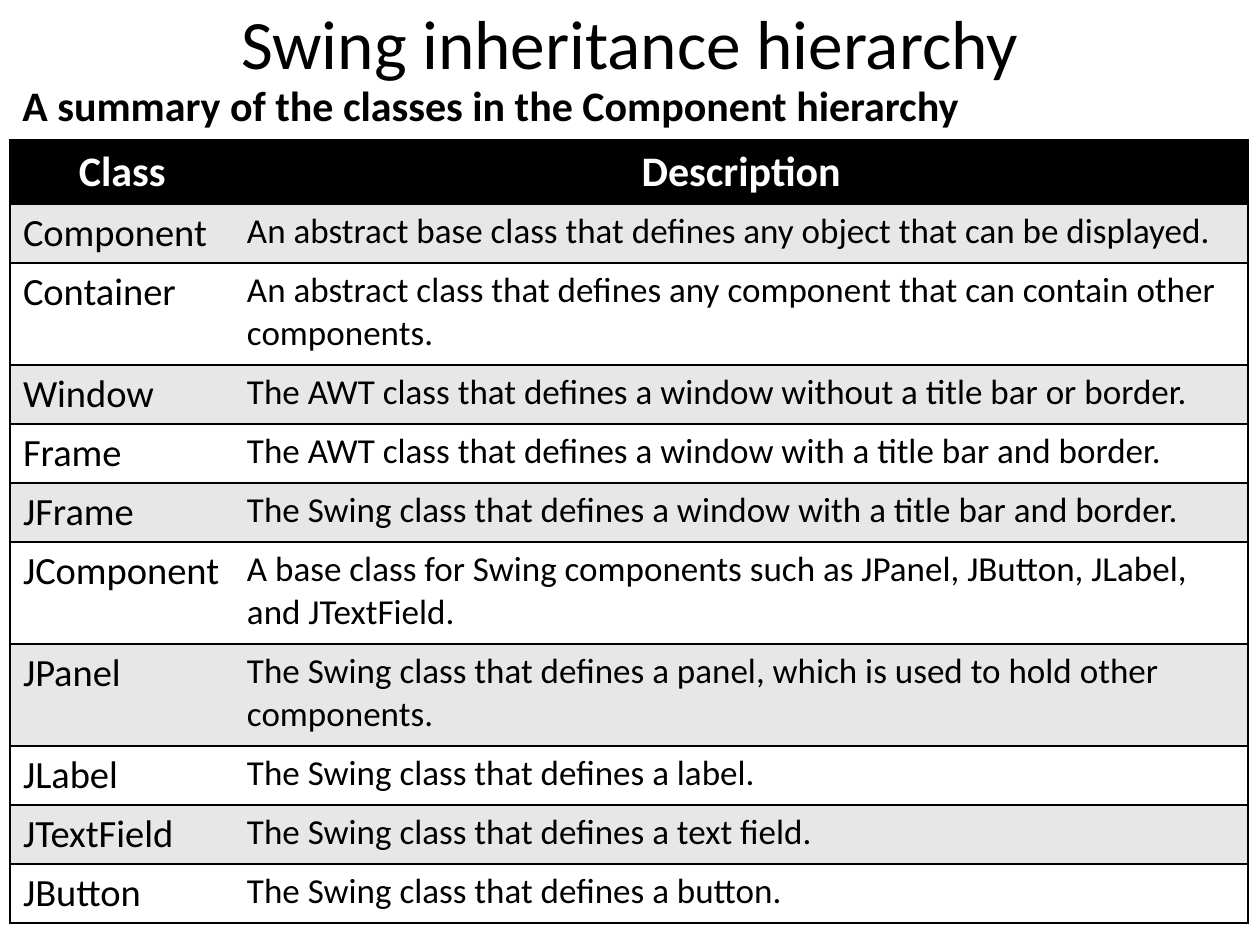
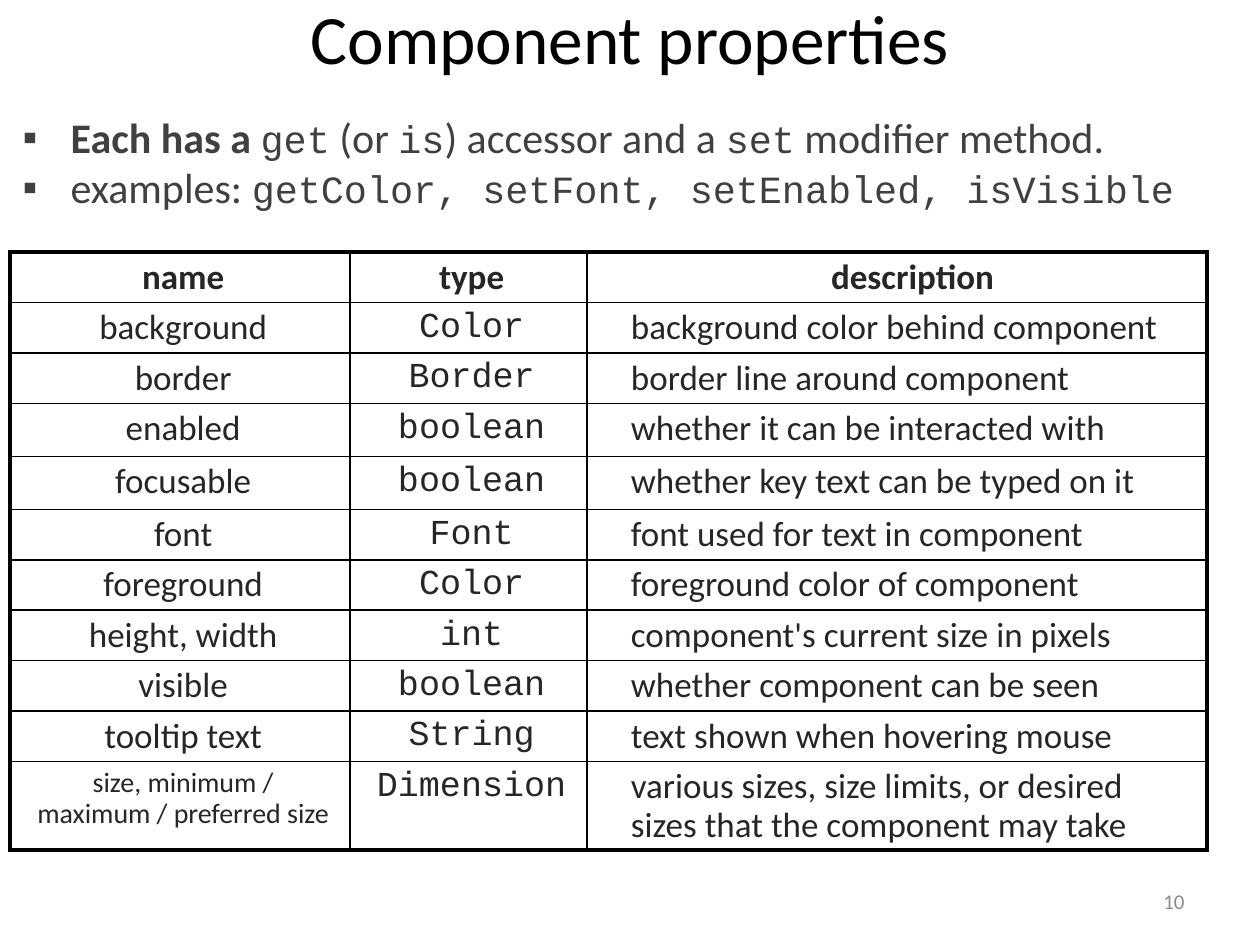
import pptx
import pptx.dml.color
import pptx.enum.text
import pptx.oxml
import pptx.oxml.ns
import pptx.util

PX_PER_INCH = 126
SANS, MONO = "Calibri", "Courier New"
BLACK, WHITE, BAND = "000000", "FFFFFF", "E7E7E7"
BODY_GREY, CELL_GREY, NUMBER_GREY = "404040", "262626", "8C8C8C"
ALIGN = pptx.enum.text.PP_ALIGN
ANCHOR = pptx.enum.text.MSO_ANCHOR
AUTO_SIZE = pptx.enum.text.MSO_AUTO_SIZE

CLASSES = [
    ("Component", "An abstract base class that defines any object that can be displayed."),
    ("Container", "An abstract class that defines any component that can contain other components."),
    ("Window", "The AWT class that defines a window without a title bar or border."),
    ("Frame", "The AWT class that defines a window with a title bar and border."),
    ("JFrame", "The Swing class that defines a window with a title bar and border."),
    ("JComponent", "A base class for Swing components such as JPanel, JButton, JLabel, and JTextField."),
    ("JPanel", "The Swing class that defines a panel, which is used to hold other components."),
    ("JLabel", "The Swing class that defines a label."),
    ("JTextField", "The Swing class that defines a text field."),
    ("JButton", "The Swing class that defines a button."),
]
TWO_LINE_CLASSES = {"Container", "JComponent", "JPanel"}

PROPERTIES = [
    ("background", "Color", "background color behind component"),
    ("border", "Border", "border line around component"),
    ("enabled", "boolean", "whether it can be interacted with"),
    ("focusable", "boolean", "whether key text can be typed on it"),
    ("font", "Font", "font used for text in component"),
    ("foreground", "Color", "foreground color of component"),
    ("height, width", "int", "component's current size in pixels"),
    ("visible", "boolean", "whether component can be seen"),
    ("tooltip text", "String", "text shown when hovering mouse"),
    ("size, minimum / maximum / preferred size", "Dimension",
     "various sizes, size limits, or desired sizes that the component may take"),
]
PROPERTY_ROW_HEIGHTS = [50, 50, 50, 53, 53, 50, 50, 50, 50, 50, 88]


def px(length):
    """Turn px into EMU."""
    return pptx.util.Emu(round(length * 914400 / PX_PER_INCH))


def rgb(value):
    """Turn a hex string into a colour."""
    return pptx.dml.color.RGBColor.from_string(value)


def add_run(paragraph, text, size, color=BLACK, font=SANS, bold=False):
    """Append one formatted run."""
    run = paragraph.add_run()
    run.text = text
    run.font.size = pptx.util.Pt(size)
    run.font.name = font
    run.font.bold = bold
    run.font.color.rgb = rgb(color)


def place(shape, left, top, width, height):
    """Move and size a shape."""
    shape.left, shape.top = px(left), px(top)
    shape.width, shape.height = px(width), px(height)


def add_title(slide, text, height):
    """Fill the title placeholder at the top of the slide."""
    title = slide.shapes.title
    place(title, 63, 0, 1134, height)
    frame = title.text_frame
    frame.auto_size = AUTO_SIZE.NONE
    frame.vertical_anchor = ANCHOR.MIDDLE
    frame.paragraphs[0].alignment = ALIGN.CENTER
    add_run(frame.paragraphs[0], text, 39.6)


def add_label(slide, box, text, size, color, align=ALIGN.LEFT, anchor=ANCHOR.TOP, bold=False):
    """Add a one-line text box."""
    frame = slide.shapes.add_textbox(*map(px, box)).text_frame
    frame.word_wrap = True
    frame.vertical_anchor = anchor
    frame.paragraphs[0].alignment = align
    add_run(frame.paragraphs[0], text, size, color, bold=bold)


def set_bullet(paragraph, indent):
    """Give a paragraph a square bullet and a hanging indent."""
    properties = paragraph._p.get_or_add_pPr()
    properties.set("marL", str(px(indent)))
    properties.set("indent", str(-px(indent)))
    bullet = pptx.oxml.parse_xml(f'<a:buChar {pptx.oxml.ns.nsdecls("a")} char="▪"/>')
    properties.append(bullet)


def add_bullets(slide, box, items):
    """Fill the body placeholder with bulleted lists of runs."""
    body = slide.placeholders[1]
    place(body, *box)
    frame = body.text_frame
    frame.auto_size = AUTO_SIZE.NONE
    for index, runs in enumerate(items):
        paragraph = frame.add_paragraph() if index else frame.paragraphs[0]
        paragraph.space_before = pptx.util.Pt(0)
        set_bullet(paragraph, 48)
        for text, font, bold in runs:
            add_run(paragraph, text, 22 if font == MONO else 24, BODY_GREY, font, bold)


def set_border(cell, side, width):
    """Draw one side of a cell, or hide it when the width is 0."""
    paint = f'<a:solidFill><a:srgbClr val="{BLACK}"/></a:solidFill>' if width else "<a:noFill/>"
    border = pptx.oxml.parse_xml(
        f'<a:ln{side} {pptx.oxml.ns.nsdecls("a")} w="{pptx.util.Pt(width)}">{paint}</a:ln{side}>')
    cell._tc.get_or_add_tcPr().append(border)


def add_grid(slide, left, top, widths, heights, outer, inner_vertical):
    """Add a plain table with ruled rows and the given line widths."""
    frame = slide.shapes.add_table(len(heights), len(widths), px(left), px(top),
                                   px(sum(widths)), px(sum(heights)))
    table = frame.table
    table.first_row = table.horz_banding = False
    for column, width in zip(table.columns, widths):
        column.width = px(width)
    for row, height in zip(table.rows, heights):
        row.height = px(height)
    last_row, last_column = len(heights) - 1, len(widths) - 1
    for r in range(len(heights)):
        for c in range(len(widths)):
            cell = table.cell(r, c)
            set_border(cell, "L", outer if c == 0 else inner_vertical)
            set_border(cell, "R", outer if c == last_column else inner_vertical)
            set_border(cell, "T", outer if r == 0 else 1)
            set_border(cell, "B", outer if r == last_row else 1)
    return table


def fill_cell(cell, text, size, color=BLACK, fill=None, font=SANS, bold=False,
              align=ALIGN.LEFT, left_margin=13, line_spacing=1.0):
    """Write one cell and set its background."""
    if fill:
        cell.fill.solid()
        cell.fill.fore_color.rgb = rgb(fill)
    else:
        cell.fill.background()
    cell.margin_left = px(left_margin)
    paragraph = cell.text_frame.paragraphs[0]
    paragraph.alignment = align
    paragraph.line_spacing = line_spacing
    add_run(paragraph, text, size, color, font, bold)


def add_class_table(slide):
    """Add the banded table of classes."""
    heights = [64] + [102 if name in TWO_LINE_CLASSES else 59 for name, _ in CLASSES]
    table = add_grid(slide, 10, 140, [224, 1014], heights, 1, 0)
    for c, heading in enumerate(("Class", "Description")):
        fill_cell(table.cell(0, c), heading, 24, WHITE, BLACK, bold=True, align=ALIGN.CENTER)
    for r, (name, description) in enumerate(CLASSES, start=1):
        band = BAND if r % 2 else WHITE
        fill_cell(table.cell(r, 0), name, 22, fill=band)
        fill_cell(table.cell(r, 1), description, 20, fill=band)


def add_property_table(slide):
    """Add the ruled table of component properties."""
    table = add_grid(slide, 10, 252, [340, 237, 620], PROPERTY_ROW_HEIGHTS, 2.25, 1)
    margins = (19, 19, 44)
    for r, row in enumerate([("name", "type", "description")] + PROPERTIES):
        header = r == 0
        for c, text in enumerate(row):
            fill_cell(table.cell(r, c), text,
                      16 if text.startswith("size,") else 20, CELL_GREY,
                      font=MONO if c == 1 and not header else SANS, bold=header,
                      align=ALIGN.CENTER if header or c < 2 else ALIGN.LEFT,
                      left_margin=margins[c], line_spacing=0.9)


def build_hierarchy_slide(deck):
    """Build the slide on the class hierarchy."""
    slide = deck.slides.add_slide(deck.slide_layouts[5])
    add_title(slide, "Swing inheritance hierarchy", 84)
    add_label(slide, (10, 73, 1134, 63), "A summary of the classes in the Component hierarchy",
              24, BLACK, bold=True)
    add_class_table(slide)


def build_properties_slide(deck):
    """Build the slide on component properties."""
    slide = deck.slides.add_slide(deck.slide_layouts[1])
    add_label(slide, (903, 876, 294, 50), "10", 12, NUMBER_GREY, ALIGN.RIGHT, ANCHOR.MIDDLE)
    add_title(slide, "Component properties", 73)
    add_bullets(slide, (10, 105, 1197, 115), [
        [("Each has a ", SANS, True), ("get", MONO, False), (" (or ", SANS, False),
         ("is", MONO, False), (") accessor and a ", SANS, False), ("set", MONO, False),
         (" modifier method.", SANS, False)],
        [("examples: ", SANS, False),
         ("getColor, setFont, setEnabled, isVisible", MONO, False)],
    ])
    add_property_table(slide)


def main():
    """Build and save the deck."""
    deck = pptx.Presentation()
    deck.slide_width, deck.slide_height = px(1260), px(945)
    build_hierarchy_slide(deck)
    build_properties_slide(deck)
    deck.save("out.pptx")


if __name__ == "__main__":
    main()
